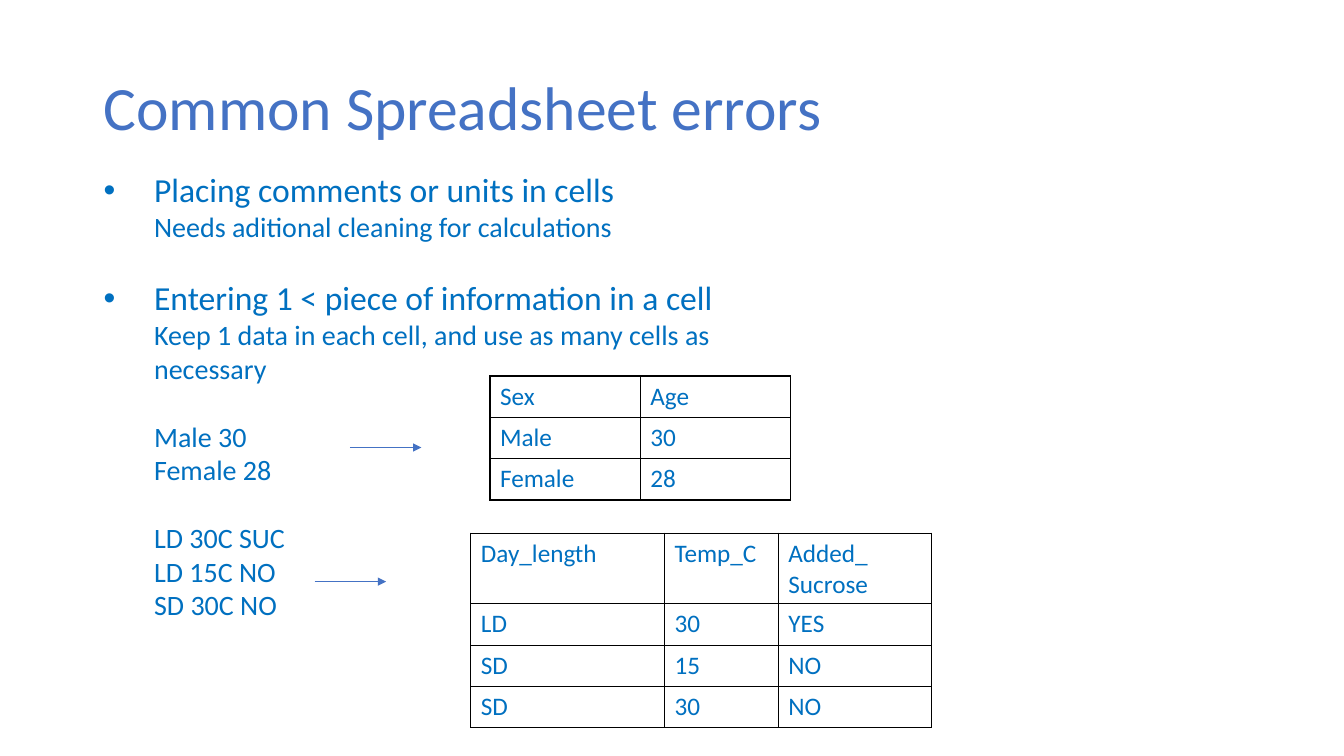
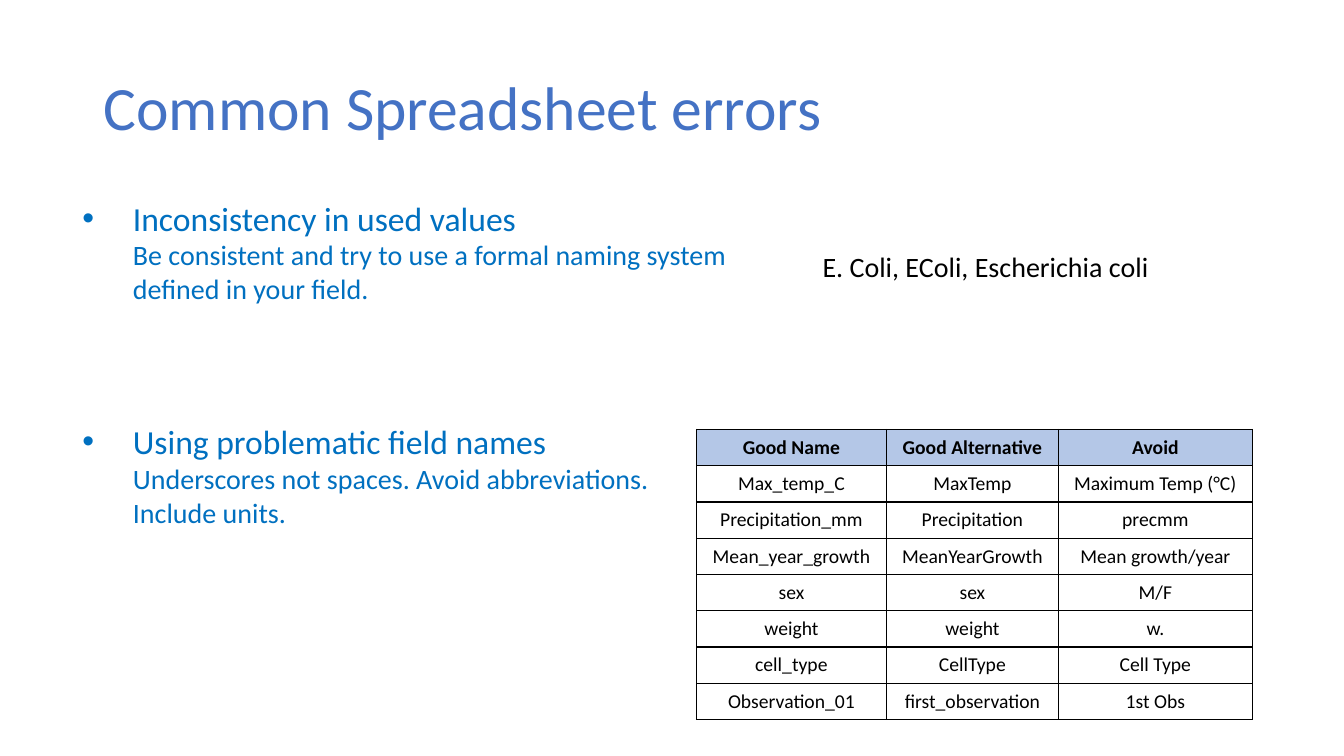
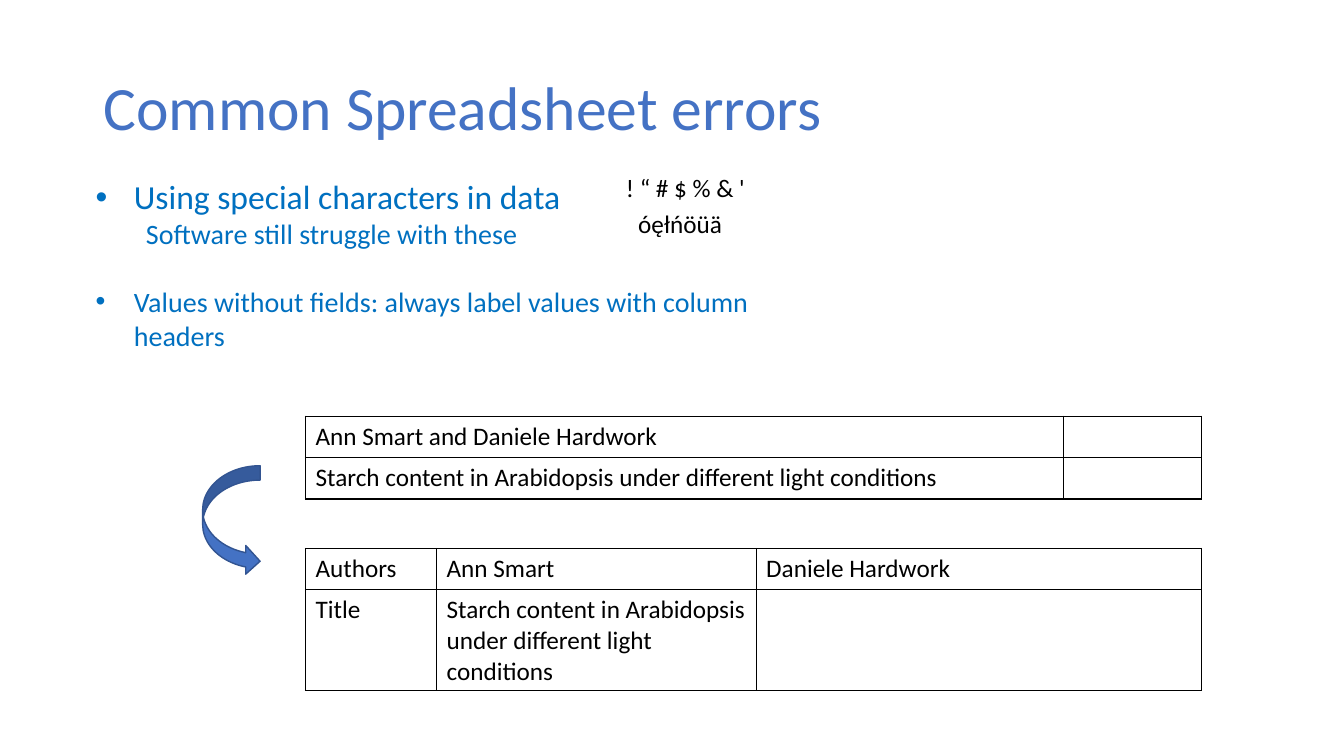
"""Builds three slides on common spreadsheet errors."""
from dataclasses import dataclass

from lxml import etree
from pptx import Presentation, util as u
from pptx.dml.color import RGBColor
from pptx.enum import shapes, text
from pptx.oxml import parse_xml
from pptx.oxml.ns import nsdecls, qn


@dataclass(frozen=True)
class Theme:
    font: str = "Calibri"
    accent: str = "4472C4"
    accent_dark: str = "325491"
    body: str = "0070C0"
    black: str = "000000"
    header: str = "B4C7E7"
    title_size: int = 44
    head_size: int = 24
    text_size: int = 20
    cell_size: int = 18
    small_size: int = 14
    line_gap: float = 24.4
    section_gap: float = 83


T = Theme()
HEAD = dict(size=T.head_size, bullet=True)
SUB = dict(size=T.text_size, level=1)


def add_runs(p, content, size, color, bold=False):
    for i, line in enumerate(content.split("\n")):
        if i:
            p.add_line_break()
        r = p.add_run()
        r.text = line
        r.font.name = T.font
        r.font.size = u.Pt(size)
        r.font.bold = bold
        r.font.color.rgb = RGBColor.from_string(color)


def add_table(s, left, top, cols, rows, data, color, size=T.cell_size, header=False):
    frame = s.shapes.add_table(len(rows), len(cols), u.Inches(left), u.Inches(top),
                               u.Inches(sum(cols)), u.Inches(sum(rows)))
    table = frame.table
    table.first_row = table.horz_banding = False
    for col, width in zip(table.columns, cols):
        col.width = u.Inches(width)
    for i, (row, height) in enumerate(zip(table.rows, rows)):
        row.height = u.Inches(height)
        for cell, content in zip(row.cells, data[i]):
            tc_pr = cell._tc.get_or_add_tcPr()
            for side in "LRTB":
                tc_pr.append(parse_xml(
                    f'<a:ln{side} {nsdecls("a")} w="12700"><a:solidFill>'
                    f'<a:srgbClr val="{T.black}"/></a:solidFill></a:ln{side}>'))
            cell.fill.background()
            p = cell.text_frame.paragraphs[0]
            if header:
                cell.vertical_anchor = text.MSO_ANCHOR.MIDDLE
                cell.margin_left = cell.margin_right = u.Inches(0.14)
                cell.margin_top = cell.margin_bottom = u.Inches(0.06)
                p.alignment = text.PP_ALIGN.CENTER
                if i == 0:
                    cell.fill.solid()
                    cell.fill.fore_color.rgb = RGBColor.from_string(T.header)
            if content:
                add_runs(p, content, size, color, bold=header and i == 0)


prs = Presentation()
prs.slide_width, prs.slide_height = u.Inches(13.33), u.Inches(7.5)

bodies = [
    ((0.93, 1.63, 7.23, 4.95), 0.5, [
        ("Placing comments or units in cells", HEAD, 0),
        ("Needs aditional cleaning for calculations", SUB, 0),
        ("Entering 1 < piece of information in a cell", HEAD, T.line_gap),
        ("Keep 1 data in each cell, and use as many cells as necessary", SUB, 0),
        ("Male 30", SUB, T.line_gap),
        ("Female 28", SUB, 0),
        ("LD 30C SUC", SUB, T.line_gap),
        ("LD 15C NO", SUB, 0),
        ("SD 30C NO", SUB, 0),
    ]),
    ((0.72, 1.91, 6.77, 3.8), 0.5, [
        ("Inconsistency in used values", HEAD, 0),
        ("Be consistent and try to use a formal naming system defined in your field.", SUB, 0),
        ("Using problematic field names", HEAD, T.section_gap),
        ("Underscores not spaces. Avoid abbreviations.\nInclude units.", SUB, 0),
    ]),
    ((0.85, 1.7, 7.23, 2.18), 0.38, [
        ("Using special characters in data", HEAD, 0),
        ("Software still struggle with these", SUB, 0),
        ("Values without fields: always label values with column headers",
         dict(size=T.text_size, bullet=True), T.line_gap),
    ]),
]

for box, hang, paragraphs in bodies:
    s = prs.slides.add_slide(prs.slide_layouts[6])
    title = s.shapes.add_textbox(*map(u.Inches, (0.93, 0.37, 11.5, 1.45)))
    tf = title.text_frame
    tf.word_wrap = True
    tf.vertical_anchor = text.MSO_ANCHOR.MIDDLE
    tf.paragraphs[0].line_spacing = 0.9
    add_runs(tf.paragraphs[0], "Common Spreadsheet errors", T.title_size, T.accent)

    tf = s.shapes.add_textbox(*map(u.Inches, box)).text_frame
    tf.word_wrap = True
    for i, (content, style, gap) in enumerate(paragraphs):
        p = tf.add_paragraph() if i else tf.paragraphs[0]
        p.level = style.get("level", 0)
        p.space_before = u.Pt(gap)
        p_pr = p._p.get_or_add_pPr()
        bullet = style.get("bullet", False)
        p_pr.set("marL", str(u.Inches(hang if bullet else 0.5)))
        p_pr.set("indent", str(-u.Inches(hang) if bullet else 0))
        if bullet:
            etree.SubElement(p_pr, qn("a:buFont"), typeface="Arial")
            etree.SubElement(p_pr, qn("a:buChar"), char="•")
        add_runs(p, content, style["size"], T.body)

cells_slide, names_slide, labels_slide = prs.slides

add_table(cells_slide, 4.86, 3.73, [1.49] * 2, [0.41] * 3,
          [("Sex", "Age"), ("Male", "30"), ("Female", "28")], T.body)
add_table(cells_slide, 4.67, 5.29, [1.92, 1.13, 1.52], [0.69] + [0.41] * 3,
          [("Day_length", "Temp_C", "Added_ Sucrose"), ("LD", "30", "YES"),
           ("SD", "15", "NO"), ("SD", "30", "NO")], T.body)
for left, top in [(3.47, 4.44), (3.12, 5.77)]:
    arrow = cells_slide.shapes.add_connector(
        shapes.MSO_CONNECTOR.STRAIGHT, u.Inches(left), u.Inches(top),
        u.Inches(left + 0.71), u.Inches(top))
    arrow.line.color.rgb = RGBColor.from_string(T.accent)
    arrow.line.width = u.Pt(0.5)
    etree.SubElement(arrow.line._get_or_add_ln(), qn("a:tailEnd"), type="triangle")
    etree.SubElement(arrow._element.spPr, qn("a:effectLst"))

add_table(names_slide, 6.91, 4.26, [1.88, 1.71, 1.92], [0.36] * 8, [
    ("Good Name", "Good Alternative", "Avoid"),
    ("Max_temp_C", "MaxTemp", "Maximum Temp (°C)"),
    ("Precipitation_mm", "Precipitation", "precmm"),
    ("Mean_year_growth", "MeanYearGrowth", "Mean growth/year"),
    ("sex", "sex", "M/F"),
    ("weight", "weight", "w."),
    ("cell_type", "CellType", "Cell Type"),
    ("Observation_01", "first_observation", "1st Obs"),
], T.black, T.small_size, header=True)

study = "Starch content in Arabidopsis under different light conditions"
add_table(labels_slide, 3.03, 4.13, [7.52, 1.37], [0.41] * 2,
          [("Ann Smart and Daniele Hardwork", ""), (study, "")], T.black)
add_table(labels_slide, 3.03, 5.44, [1.3, 3.17, 4.42], [0.41, 1],
          [("Authors", "Ann Smart", "Daniele Hardwork"), ("Title", study, "")], T.black)
sp = labels_slide.shapes.add_shape(shapes.MSO_SHAPE.CURVED_RIGHT_ARROW,
                                   *map(u.Inches, (2.01, 4.62, 0.57, 1.09)))
sp.shadow.inherit = False
sp.fill.solid()
sp.fill.fore_color.rgb = RGBColor.from_string(T.accent)
sp.line.color.rgb = RGBColor.from_string(T.accent_dark)
sp.line.width = u.Pt(1)

for s, box, content, size in [
    (names_slide, (8.06, 2.43, 3.53, 0.44), "E. Coli, EColi, Escherichia coli", T.text_size),
    (labels_slide, (6.11, 1.66, 1.4, 0.4), "! “ # $ % & '", T.cell_size),
    (labels_slide, (6.23, 2.02, 1.05, 0.4), "óęłńöüä", T.cell_size),
]:
    tf = s.shapes.add_textbox(*map(u.Inches, box)).text_frame
    tf.word_wrap = False
    tf.auto_size = text.MSO_AUTO_SIZE.SHAPE_TO_FIT_TEXT
    add_runs(tf.paragraphs[0], content, size, T.black)

prs.save("out.pptx")
